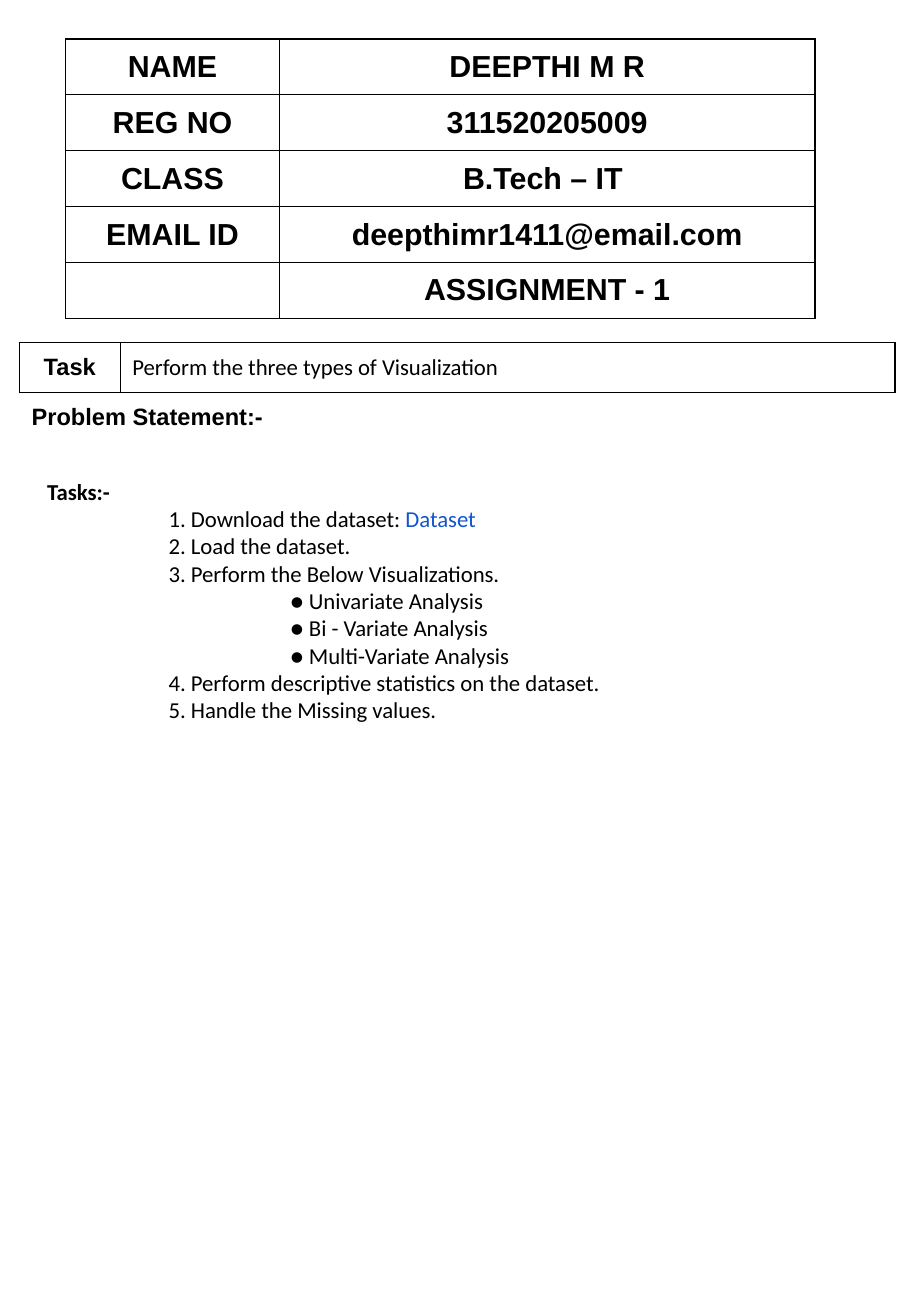
from lxml import etree
from pptx import Presentation
from pptx.dml.color import RGBColor
from pptx.enum.text import MSO_ANCHOR, PP_ALIGN
from pptx.oxml.ns import qn
from pptx.util import Inches, Pt

BLACK = RGBColor(0x00, 0x00, 0x00)
LINK_BLUE = RGBColor(0x11, 0x55, 0xCD)
LEFT, CENTER, JUSTIFY = PP_ALIGN.LEFT, PP_ALIGN.CENTER, PP_ALIGN.JUSTIFY
MIDDLE = MSO_ANCHOR.MIDDLE
ALL_SIDES = "LRTB"

deck = Presentation()
deck.slide_width, deck.slide_height = Inches(7.5), Inches(10.83)
page = deck.slides.add_slide(deck.slide_layouts[6])


def add_span(para, text, font, size, bold=False, color=BLACK):
    span = para.add_run()
    span.text = text
    span.font.name, span.font.size = font, Pt(size)
    span.font.bold, span.font.color.rgb = bold, color


def add_grid(left, top, column_widths, row_height, ruled_sides):
    rows, columns = len(ruled_sides), len(column_widths)
    grid = page.shapes.add_table(
        rows, columns, Inches(left), Inches(top),
        Inches(sum(column_widths)), Inches(row_height * rows)).table
    grid.first_row = grid.horz_banding = False
    for column, width in zip(grid.columns, column_widths):
        column.width = Inches(width)
    for row, ruled in zip(grid.rows, ruled_sides):
        row.height = Inches(row_height)
        for cell in row.cells:
            cell.vertical_anchor = MIDDLE
            properties = cell._tc.get_or_add_tcPr()
            for side in ALL_SIDES:
                line = etree.SubElement(properties, qn(f"a:ln{side}"), w=str(Pt(1)))
                if side in ruled:
                    fill = etree.SubElement(line, qn("a:solidFill"))
                    etree.SubElement(fill, qn("a:srgbClr"), val=str(BLACK))
                else:
                    etree.SubElement(line, qn("a:noFill"))
            cell.fill.background()
    return grid


task_table = add_grid(0.16, 2.82, [0.83, 6.38], 0.41, [ALL_SIDES, "T"])
task_table.cell(1, 0).merge(task_table.cell(1, 1))
task_cells = [
    (0, 0, "Task", CENTER, "Arial", 14, True),
    (0, 1, "Perform the three types of Visualization", JUSTIFY, "Calibri", 13.5, False),
    (1, 0, "Problem Statement:-", LEFT, "Arial", 14, True),
]
for row, column, text, alignment, font, size, bold in task_cells:
    para = task_table.cell(row, column).text_frame.paragraphs[0]
    para.alignment = alignment
    add_span(para, text, font, size, bold)

task_box = page.shapes.add_textbox(Inches(0.29), Inches(3.88), Inches(7.08), Inches(2.15))
task_frame = task_box.text_frame
task_frame.word_wrap = True
task_lines = [
    (0, "Tasks:-"),
    (1, "1. Download the dataset: "),
    (1, "2. Load the dataset."),
    (1, "3. Perform the Below Visualizations."),
    (2, "● Univariate Analysis"),
    (2, "● Bi - Variate Analysis"),
    (2, "● Multi-Variate Analysis"),
    (1, "4. Perform descriptive statistics on the dataset."),
    (1, "5. Handle the Missing values."),
]
for index, (depth, text) in enumerate(task_lines):
    para = task_frame.add_paragraph() if index else task_frame.paragraphs[0]
    para._p.get_or_add_pPr().set("marL", str(Inches(depth)))
    add_span(para, text, "Calibri", 13.5, bold=depth == 0)
add_span(task_frame.paragraphs[1], "Dataset", "Calibri", 13.5, color=LINK_BLUE)

student_rows = [
    ("NAME", "DEEPTHI M R"),
    ("REG NO", "311520205009"),
    ("CLASS", "B.Tech – IT "),
    ("EMAIL ID", "deepthimr1411@email.com"),
    ("", "ASSIGNMENT - 1"),
]
student_table = add_grid(0.54, 0.32, [1.76, 4.41], 0.46, [ALL_SIDES] * len(student_rows))
for row, texts in zip(student_table.rows, student_rows):
    for cell, text in zip(row.cells, texts):
        if text:
            para = cell.text_frame.paragraphs[0]
            para.alignment = CENTER
            add_span(para, text, "Arial", 18, True)

deck.save("out.pptx")
